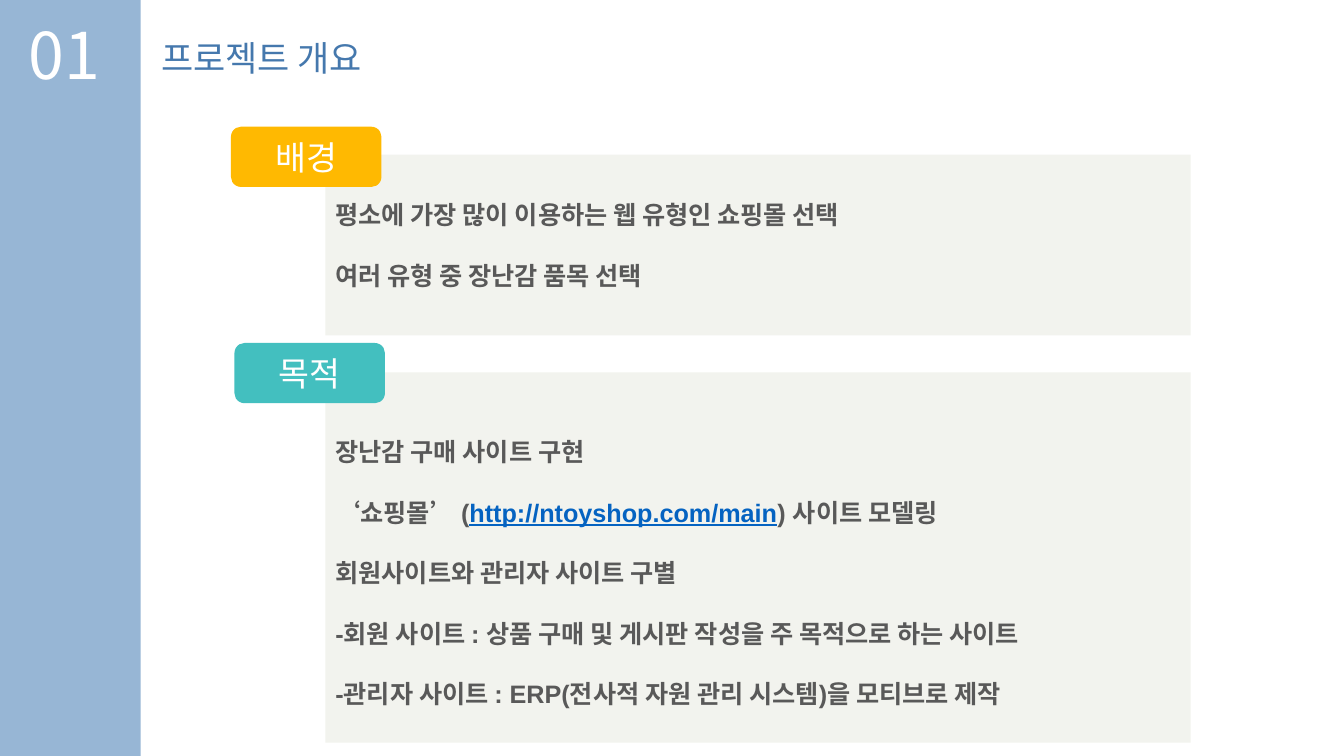
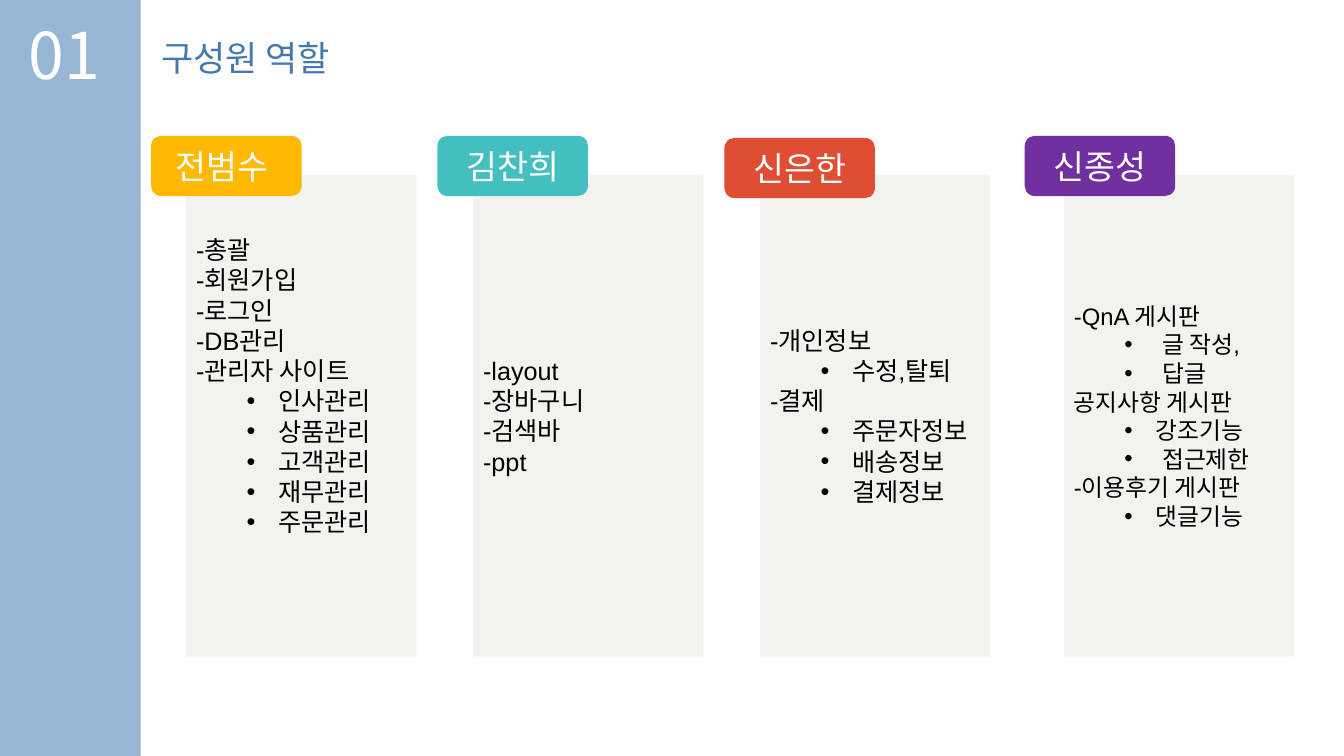
import pptx
import pptx.dml.color
import pptx.enum.shapes
import pptx.enum.text
import pptx.util
from lxml import etree
from pptx.oxml.ns import qn

Pt = pptx.util.Pt
SHAPE = pptx.enum.shapes.MSO_SHAPE
ALIGN = pptx.enum.text.PP_ALIGN
ANCHOR = pptx.enum.text.MSO_ANCHOR

SLIDE_W, SLIDE_H = 960, 540
BAND, TITLE, PANEL, WHITE = "97B6D5", "4578AD", "F2F3EE", "FFFFFF"
BODY, BLACK, LINK = "595959", "000000", "0563C1"
YELLOW, TEAL, RED, PURPLE = "FFB901", "43BFBF", "DF4E32", "7030A0"
HEAD_FONT, BODY_FONT = "Noto Sans CJK KR", "Arial"
BADGE_W, BADGE_H = 107.5, 43
BULLET_X = 36
PLAIN, SUB, DEEP = 0, 58.5, 63  # left edge of the text in a role line

ROLES = [
    # name, colour, badge left, badge top, panel left, text size, lines
    ("전범수", YELLOW, 108, 97, 133, 18, [
        ("-총괄", PLAIN), ("-회원가입", PLAIN), ("-로그인", PLAIN),
        ("-DB관리", PLAIN), ("-관리자 사이트", PLAIN),
        ("인사관리", SUB), ("상품관리", SUB), ("고객관리", SUB),
        ("재무관리", SUB), ("주문관리", SUB)]),
    ("김찬희", TEAL, 312.5, 97, 338, 18, [
        ("-layout", PLAIN), ("-장바구니", PLAIN), ("-검색바", PLAIN),
        ("-ppt", PLAIN)]),
    ("신은한", RED, 517.5, 98.5, 543, 18, [
        ("-개인정보", PLAIN), ("수정,탈퇴", SUB), ("-결제", PLAIN),
        ("주문자정보", SUB), ("배송정보", SUB), ("결제정보", SUB)]),
    ("신종성", PURPLE, 732, 97, 760, 17, [
        ("-QnA 게시판", PLAIN), ("글 작성,", DEEP), ("답글", DEEP),
        ("공지사항 게시판", PLAIN), ("강조기능", SUB), ("접근제한", DEEP),
        ("-이용후기 게시판", PLAIN), ("댓글기능", SUB)]),
]


def rgb(value):
    return pptx.dml.color.RGBColor.from_string(value)


def style(r, size, color, font=BODY_FONT, bold=False):
    r.font.size = Pt(size)
    r.font.name = font
    r.font.bold = bold
    r.font.color.rgb = rgb(color)
    ea = etree.SubElement(r.font._element, qn("a:ea"))
    ea.set("typeface", HEAD_FONT)


def add_box(s, shape, x, y, w, h, fill):
    sp = s.shapes.add_shape(shape, Pt(x), Pt(y), Pt(w), Pt(h))
    sp.shadow.inherit = False
    sp.fill.solid()
    sp.fill.fore_color.rgb = rgb(fill)
    sp.line.fill.background()
    tf = sp.text_frame
    tf.word_wrap = True
    tf.vertical_anchor = ANCHOR.MIDDLE
    return sp


def add_label(s, text, x, y, w, h, size, color):
    tf = s.shapes.add_textbox(Pt(x), Pt(y), Pt(w), Pt(h)).text_frame
    tf.word_wrap = True
    tf.text = text
    style(tf.paragraphs[0].runs[0], size, color, HEAD_FONT)


def add_badge(s, text, x, y, fill):
    sp = add_box(s, SHAPE.ROUNDED_RECTANGLE, x, y, BADGE_W, BADGE_H, fill)
    tf = sp.text_frame
    tf.text = text
    p = tf.paragraphs[0]
    p.alignment = ALIGN.CENTER
    style(p.runs[0], 24, WHITE, HEAD_FONT)
    return tf


def add_frame(prs, number, title):
    """Add a slide with the side band, section number and title."""
    s = prs.slides.add_slide(prs.slide_layouts[6])
    add_box(s, SHAPE.RECTANGLE, 0, 0, 100.5, SLIDE_H, BAND)
    add_label(s, number, 13.5, 7, 119, 63, 46, WHITE)
    add_label(s, title, 108, 22.5, 254, 37.5, 25, TITLE)
    return s


def add_section(s, y, h, lines, line_spacing=1, gap=0):
    """Add a wide panel; each line is a list of (text, colour) parts."""
    tf = add_box(s, SHAPE.RECTANGLE, 232.5, y, 618, h, PANEL).text_frame
    for i, parts in enumerate(lines):
        p = tf.add_paragraph() if i else tf.paragraphs[0]
        p.alignment = ALIGN.LEFT
        p.line_spacing = float(line_spacing)
        p.space_before = Pt(gap if i else 0)
        for text, color in parts:
            r = p.add_run()
            r.text = text
            style(r, 18, color, bold=True)
            r.font.underline = color == LINK


def add_bullet(p, left):
    pPr = p._p.get_or_add_pPr()
    pPr.set("marL", str(Pt(left)))
    pPr.set("indent", str(Pt(BULLET_X - left)))
    etree.SubElement(pPr, qn("a:buFont")).set("typeface", "Arial")
    etree.SubElement(pPr, qn("a:buChar")).set("char", "•")


def add_role(s, x, size, lines):
    tf = add_box(s, SHAPE.RECTANGLE, x, 125, 164.5, 344, PANEL).text_frame
    for i, (text, left) in enumerate(lines):
        p = tf.add_paragraph() if i else tf.paragraphs[0]
        p.text = text
        p.alignment = ALIGN.LEFT
        if left:
            add_bullet(p, left)
        style(p.runs[0], size, BLACK)
    return tf


def build_overview(prs):
    s = add_frame(prs, "01", "프로젝트 개요")
    add_section(s, 110.5, 129, [
        [("평소에 가장 많이 이용하는 웹 유형인 쇼핑몰 선택", BODY)],
        [("여러 유형 중 장난감 품목 선택", BODY)],
    ], gap=21.5)
    add_badge(s, "배경", 165, 90.5, YELLOW)
    add_section(s, 266, 264.5, [
        [("장난감 구매 사이트 구현", BODY)],
        [("‘쇼핑몰’ (", BODY), ("http://ntoyshop.com/main", LINK),
         (") 사이트 모델링", BODY)],
        [("회원사이트와 관리자 사이트 구별", BODY)],
        [("-회원 사이트 : 상품 구매 및 게시판 작성을 주 목적으로 하는 사이트", BODY)],
        [("-관리자 사이트 : ERP(전사적 자원 관리 시스템)을 모티브로 제작", BODY)],
    ], line_spacing=2)
    add_badge(s, "목적", 167.5, 245, TEAL)


def build_roles(prs):
    s = add_frame(prs, "01", "구성원 역할")
    frames = []
    for name, fill, badge_x, badge_y, x, size, lines in ROLES:
        panel = add_role(s, x, size, lines)
        frames.append((panel, add_badge(s, name, badge_x, badge_y, fill)))
    lead_panel, lead_badge = frames[0]
    lead_panel.margin_bottom = Pt(46.5)
    lead_badge.margin_right = Pt(13.5)


def main():
    prs = pptx.Presentation()
    prs.slide_width, prs.slide_height = Pt(SLIDE_W), Pt(SLIDE_H)
    build_overview(prs)
    build_roles(prs)
    prs.save("out.pptx")


if __name__ == "__main__":
    main()
